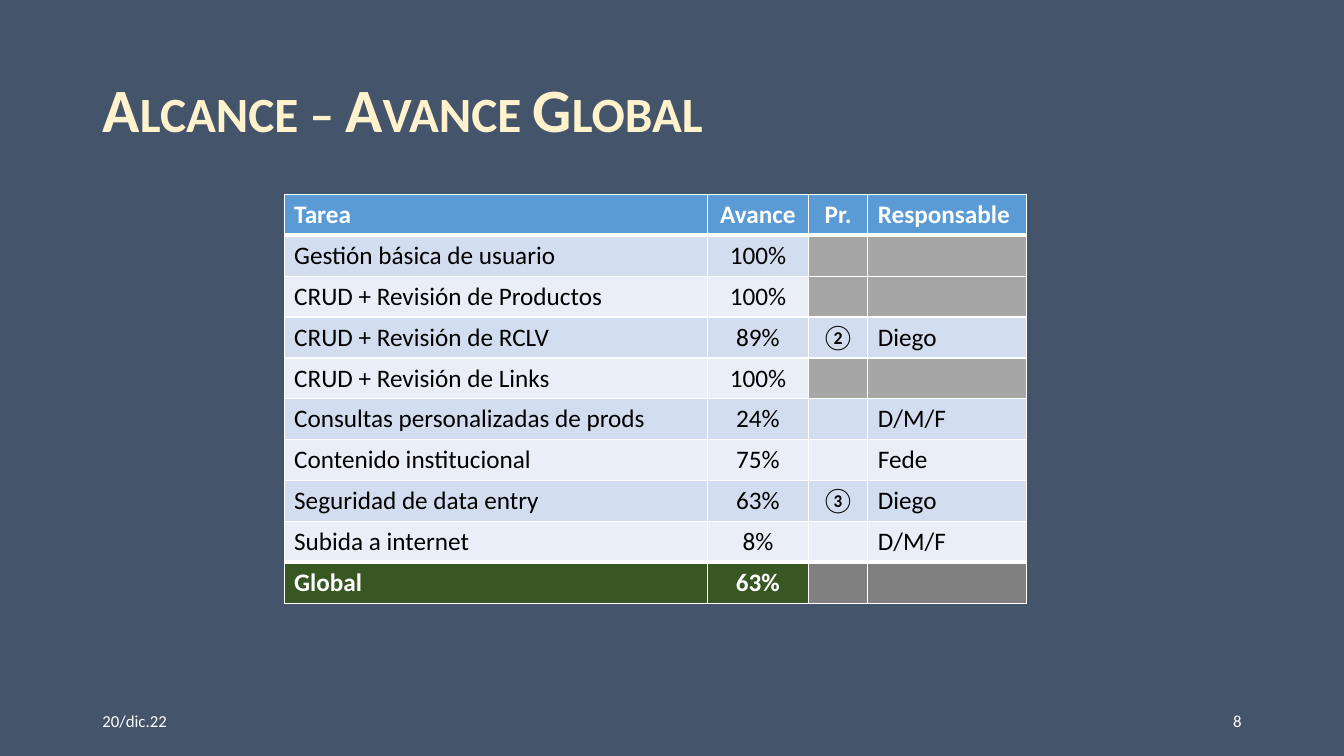
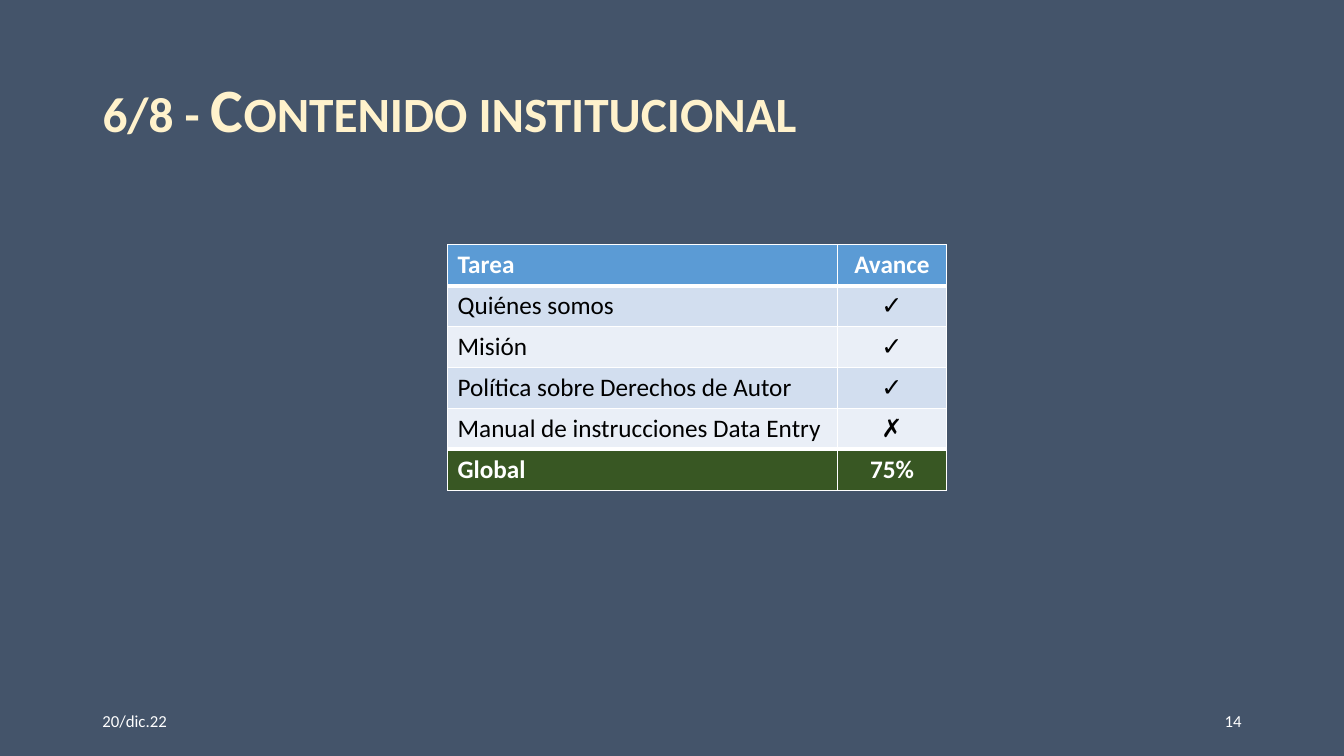
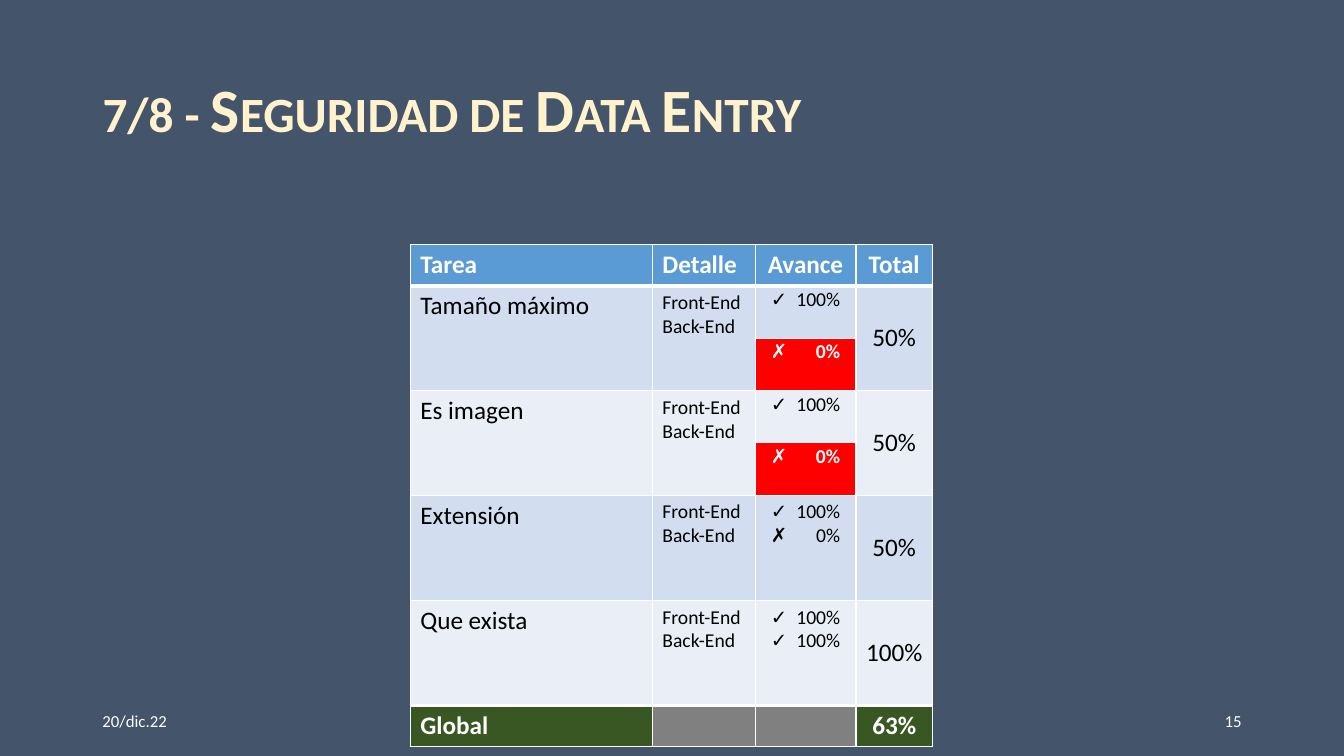
from lxml.etree import SubElement
from pptx import Presentation
from pptx.dml.color import RGBColor
from pptx.enum.text import MSO_ANCHOR, MSO_AUTO_SIZE, PP_ALIGN
from pptx.oxml.ns import qn
from pptx.util import Cm, Pt

FONT = "Calibri"
SLATE = RGBColor(0x44, 0x54, 0x6A)
CREAM = RGBColor(0xFF, 0xF2, 0xCC)
WHITE = RGBColor(0xFF, 0xFF, 0xFF)
BLACK = RGBColor(0x00, 0x00, 0x00)
BLUE = RGBColor(0x5B, 0x9B, 0xD5)
DARK_BAND = RGBColor(0xD2, 0xDE, 0xEF)
LIGHT_BAND = RGBColor(0xEA, 0xEF, 0xF7)
GREEN = RGBColor(0x38, 0x57, 0x23)
GREY = RGBColor(0xA6, 0xA6, 0xA6)
DARK_GREY = RGBColor(0x80, 0x80, 0x80)
RED = RGBColor(0xFF, 0x00, 0x00)

MARGIN, CONTENT_WIDTH = 2.33, 29.21
FOOTER_WIDTH = 7.62
ROW_HEIGHT = 1.03
TAB_STOP = Cm(1.75)
DATE = "20/dic.22"


class Deck:
    def __init__(self):
        self.presentation = Presentation()
        self.presentation.slide_width = Cm(33.87)
        self.presentation.slide_height = Cm(19.05)
        background = self.presentation.slide_master.background.fill
        background.solid()
        background.fore_color.rgb = SLATE
        self.slide = None

    def add_slide(self, title, number):
        layout = self.presentation.slide_layouts[5]
        self.slide = self.presentation.slides.add_slide(layout)
        self.format_title(title)
        self.add_footer(DATE, MARGIN, PP_ALIGN.LEFT)
        self.add_footer(str(number), MARGIN + CONTENT_WIDTH - FOOTER_WIDTH, PP_ALIGN.RIGHT)

    def format_title(self, text):
        title = self.slide.shapes.title
        title.left, title.top = Cm(MARGIN), Cm(1.88)
        title.width, title.height = Cm(CONTENT_WIDTH), Cm(1.95)
        frame = title.text_frame
        frame.text = text
        frame.word_wrap = True
        frame.auto_size = MSO_AUTO_SIZE.SHAPE_TO_FIT_TEXT
        frame.vertical_anchor = MSO_ANCHOR.TOP
        frame.paragraphs[0].line_spacing = 0.9
        self.format_text(frame, 44, CREAM, True, PP_ALIGN.LEFT)
        frame.paragraphs[0].runs[0].font._element.set("cap", "small")

    def add_footer(self, text, left, alignment):
        box = self.slide.shapes.add_textbox(Cm(left), Cm(17.65), Cm(FOOTER_WIDTH), Cm(1.02))
        frame = box.text_frame
        frame.text = text
        frame.word_wrap = True
        frame.vertical_anchor = MSO_ANCHOR.MIDDLE
        self.format_text(frame, 12, WHITE, False, alignment)

    def format_text(self, frame, size, color, bold, alignment):
        for paragraph in frame.paragraphs:
            paragraph.alignment = alignment
            for run in paragraph.runs:
                run.font.name = FONT
                run.font.size = Pt(size)
                run.font.color.rgb = color
                run.font.bold = bold

    def add_table(self, left, top, widths, rows, centered, heights=None, bands=None, small=()):
        """Draw a header, banded rows and a total row; a None value is a greyed cell."""
        heights = heights or [ROW_HEIGHT] * len(rows)
        bands = bands or [DARK_BAND, LIGHT_BAND] * len(rows)
        frame = self.slide.shapes.add_table(
            len(rows), len(widths), Cm(left), Cm(top), Cm(sum(widths)), Cm(sum(heights)))
        table = frame.table
        table.horz_banding = False
        for column, width in zip(table.columns, widths):
            column.width = Cm(width)
        last = len(rows) - 1
        for index, values in enumerate(rows):
            table.rows[index].height = Cm(heights[index])
            strong = index in (0, last)
            fill = BLUE if index == 0 else GREEN if index == last else bands[index - 1]
            grey = DARK_GREY if index == last else GREY
            for column, value in enumerate(values):
                cell = table.cell(index, column)
                cell.text = value or ""
                self.add_borders(cell, 3 if index in (1, last) else 1,
                                 3 if index in (0, last - 1) else 1)
                self.fill_cell(cell, grey if value is None else fill)
                self.format_text(
                    cell.text_frame,
                    14 if column in small and not strong else 18,
                    WHITE if strong else BLACK, strong,
                    PP_ALIGN.CENTER if column in centered else PP_ALIGN.LEFT)
        return table

    def fill_cell(self, cell, color):
        cell.fill.solid()
        cell.fill.fore_color.rgb = color

    def add_borders(self, cell, top, bottom):
        properties = cell._tc.get_or_add_tcPr()
        for side, width in (("L", 1), ("R", 1), ("T", top), ("B", bottom)):
            line = SubElement(properties, qn(f"a:ln{side}"), w=str(Pt(width)))
            solid = SubElement(line, qn("a:solidFill"))
            SubElement(solid, qn("a:srgbClr"), val=str(WHITE))

    def add_tab_stops(self, cell):
        for paragraph in cell.text_frame.paragraphs:
            tabs = SubElement(paragraph._p.get_or_add_pPr(), qn("a:tabLst"))
            SubElement(tabs, qn("a:tab"), pos=str(TAB_STOP), algn="r")

    def mark_pending(self, cell):
        self.fill_cell(cell, RED)
        self.format_text(cell.text_frame, 14, WHITE, True, PP_ALIGN.CENTER)


def add_global_progress(deck):
    deck.add_slide("Alcance – Avance Global", 8)
    deck.add_table(7.16, 4.9, [10.67, 2.54, 1.5, 3.99], [
        ["Tarea", "Avance", "Pr.", "Responsable"],
        ["Gestión básica de usuario", "100%", None, None],
        ["CRUD + Revisión de Productos", "100%", None, None],
        ["CRUD + Revisión de RCLV", "89%", "②", "Diego"],
        ["CRUD + Revisión de Links", "100%", None, None],
        ["Consultas personalizadas de prods", "24%", "", "D/M/F"],
        ["Contenido institucional", "75%", "", "Fede"],
        ["Seguridad de data entry", "63%", "③", "Diego"],
        ["Subida a internet", "8%", "", "D/M/F"],
        ["Global", "63%", None, None],
    ], centered=(1, 2))


def add_institutional_content(deck):
    deck.add_slide("6/8 - Contenido institucional", 14)
    deck.add_table(11.28, 6.17, [9.83, 2.74], [
        ["Tarea", "Avance"],
        ["Quiénes somos", "✓"],
        ["Misión", "✓"],
        ["Política sobre Derechos de Autor", "✓"],
        ["Manual de instrucciones Data Entry", "✗"],
        ["Global", "75%"],
    ], centered=(1,))


def add_data_entry_security(deck):
    deck.add_slide("7/8 - Seguridad de Data Entry", 15)
    ends = "Front-End\nBack-End"
    done, pending = "✓\t100%", "✗\t0%"
    half, full = 1.32, 2.65
    table = deck.add_table(
        10.34, 6.17, [6.1, 2.59, 2.54, 1.93], [
            ["Tarea", "Detalle", "Avance", "Total"],
            ["Tamaño máximo", ends, done, "50%"],
            ["", "", pending, ""],
            ["Es imagen", ends, done, "50%"],
            ["", "", pending, ""],
            ["Extensión", ends, f"{done}\n{pending}", "50%"],
            ["Que exista", ends, f"{done}\n{done}", "100%"],
            ["Global", None, None, "63%"],
        ],
        centered=(2, 3),
        heights=[ROW_HEIGHT] + [half] * 4 + [full] * 2 + [ROW_HEIGHT],
        bands=[DARK_BAND] * 2 + [LIGHT_BAND] * 2 + [DARK_BAND, LIGHT_BAND],
        small=(1, 2))
    for row in range(1, 7):
        deck.add_tab_stops(table.cell(row, 2))
        table.cell(row, 3).vertical_anchor = MSO_ANCHOR.MIDDLE
    table.cell(7, 3).vertical_anchor = MSO_ANCHOR.MIDDLE
    for row in (1, 3):
        for column in (0, 1, 3):
            table.cell(row, column).merge(table.cell(row + 1, column))
        for progress in (table.cell(row, 2), table.cell(row + 1, 2)):
            progress.margin_top = progress.margin_bottom = Cm(0.05)
        deck.mark_pending(table.cell(row + 1, 2))


def main():
    deck = Deck()
    add_global_progress(deck)
    add_institutional_content(deck)
    add_data_entry_security(deck)
    deck.presentation.save("out.pptx")


if __name__ == "__main__":
    main()
